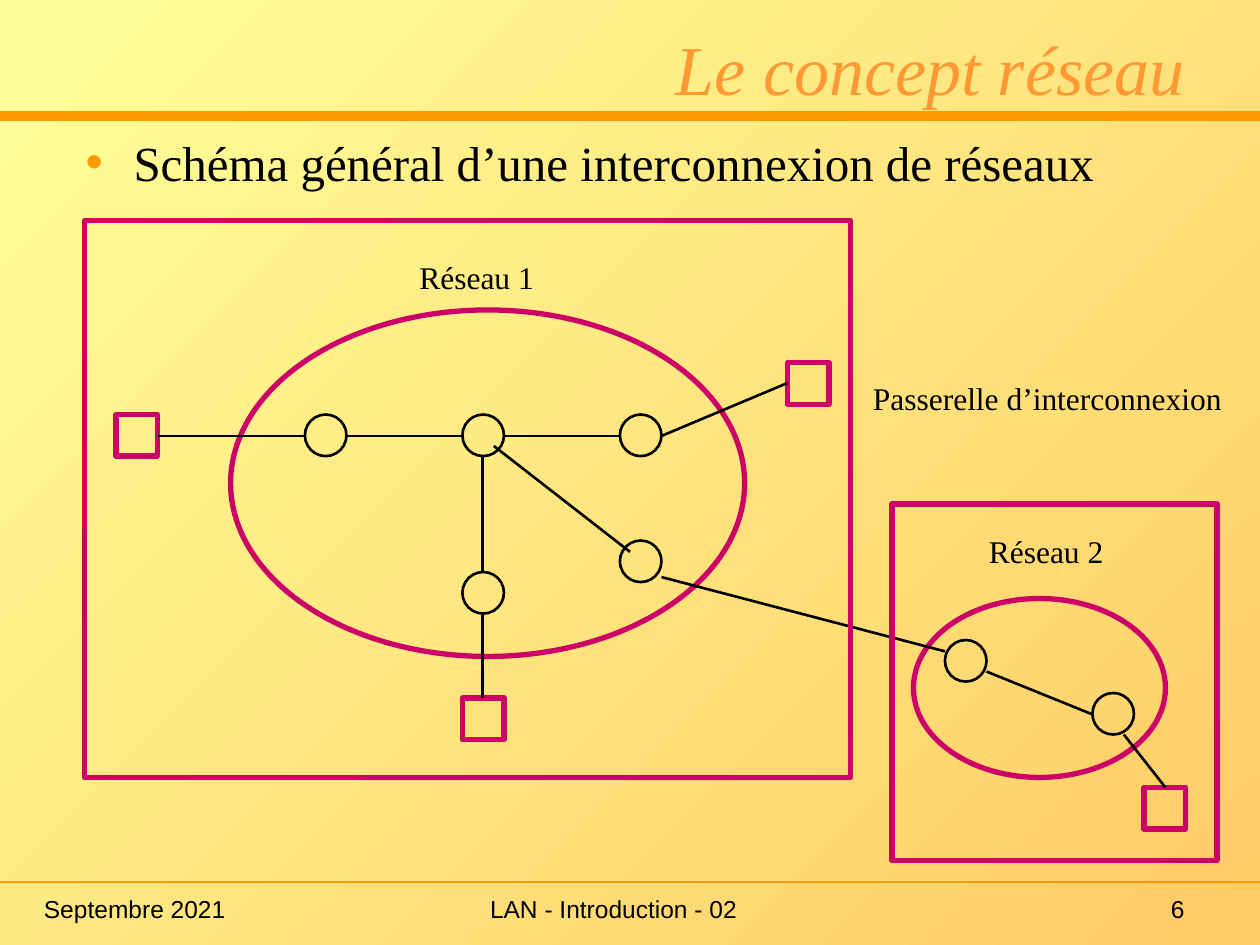
"""Build a slide showing the general scheme of two interconnected networks."""
from lxml.etree import SubElement
from pptx import Presentation
from pptx.dml.color import RGBColor
from pptx.enum.shapes import MSO_CONNECTOR, MSO_SHAPE
from pptx.enum.text import MSO_ANCHOR, MSO_AUTO_SIZE, PP_ALIGN
from pptx.oxml.ns import qn
from pptx.util import Inches, Pt

BLACK = RGBColor(0x00, 0x00, 0x00)
MAGENTA = RGBColor(0xCC, 0x00, 0x66)
ORANGE = RGBColor(0xFF, 0x99, 0x00)
TITLE_ORANGE = RGBColor(0xFF, 0x99, 0x33)
BACKGROUND = [RGBColor(0xFF, 0xFF, 0x99), RGBColor(0xFF, 0xCC, 0x66)]
SERIF, SANS = "Times New Roman", "Arial"
NODE = 0.33

TITLE = "Le concept réseau"
BODY = "Schéma général d’une interconnexion de réseaux"
RULES = [(0.92, 6), (7, 1)]
CLOUDS = [(1.83, 2.46, 4.08, 2.75), (7.25, 4.75, 2, 1.42)]
FRAMES = [(0.67, 1.75, 6.08, 4.42), (7.08, 4, 2.58, 2.83)]
ROUTERS = [(2.42, 3.29), (3.67, 3.29), (4.92, 3.29), (3.67, 4.54),
           (4.92, 4.29), (7.5, 5.08), (8.67, 5.5)]
STATIONS = [(0.92, 3.29), (3.67, 5.54), (6.25, 2.88), (9.08, 6.25)]
LINKS = [
    (1.25, 3.46, 2.42, 3.46), (2.75, 3.46, 3.67, 3.46),
    (4, 3.46, 4.92, 3.46), (5.25, 3.46, 6.25, 3.04),
    (3.83, 3.62, 3.83, 4.54), (3.83, 4.88, 3.83, 5.54),
    (5, 4.38, 3.92, 3.54), (5.25, 4.58, 7.5, 5.17),
    (7.83, 5.33, 8.67, 5.67), (8.92, 5.83, 9.25, 6.25),
]
LABELS = [
    ("Réseau 1", (3.23, 2, 1.11, 0.4)),
    ("Réseau 2", (7.75, 4.17, 1.11, 0.4)),
    ("Passerelle d’interconnexion", (6.83, 2.96, 2.97, 0.4)),
]
FOOTERS = [
    ("Septembre 2021", (0.25, 7.05, 2.08, 0.33), PP_ALIGN.LEFT),
    ("LAN - Introduction - 02", (2.33, 7.05, 5.08, 0.33), PP_ALIGN.CENTER),
    ("6", (7.42, 7.05, 2.08, 0.33), PP_ALIGN.RIGHT),
]

prs = Presentation()
prs.slide_width, prs.slide_height = Inches(10), Inches(7.5)
s = prs.slides.add_slide(prs.slide_layouts[1])
fill = s.background.fill
fill.gradient()
fill.gradient_angle = 315
for stop, color in zip(fill.gradient_stops, BACKGROUND):
    stop.color.rgb = color


def write(sp, text, size, font=SERIF, color=BLACK, align=PP_ALIGN.LEFT,
          anchor=MSO_ANCHOR.TOP, wrap=True):
    tf = sp.text_frame
    tf.auto_size = MSO_AUTO_SIZE.NONE
    tf.word_wrap = wrap
    tf.vertical_anchor = anchor
    p = tf.paragraphs[0]
    p.alignment = align
    r = p.add_run()
    r.text = text
    r.font.size, r.font.name = Pt(size), font
    r.font.color.rgb = color
    return p


def place(sp, box):
    sp.left, sp.top, sp.width, sp.height = map(Inches, box)


def add_line(ends, color, width):
    line = s.shapes.add_connector(MSO_CONNECTOR.STRAIGHT, *map(Inches, ends))
    line.line.color.rgb, line.line.width = color, Pt(width)
    SubElement(line._element.spPr, qn("a:effectLst"))


def add_outline(kind, box, color, width):
    sp = s.shapes.add_shape(kind, *map(Inches, box))
    sp.shadow.inherit = False
    sp.fill.background()
    sp.line.color.rgb, sp.line.width = color, Pt(width)


for y, width in RULES:
    add_line((0, y, 10, y), ORANGE, width)

title, body = s.shapes.title, s.placeholders[1]
place(title, (1.67, 0.17, 7.83, 0.75))
p = write(title, TITLE, 40, color=TITLE_ORANGE, align=PP_ALIGN.RIGHT,
          anchor=MSO_ANCHOR.BOTTOM)
p.runs[0].font.italic = True

place(body, (0.58, 1, 8.75, 1.42))
pPr = write(body, BODY, 28)._p.get_or_add_pPr()
pPr.set("marL", str(Inches(0.38)))
pPr.set("indent", str(Inches(-0.38)))
SubElement(SubElement(pPr, qn("a:buClr")), qn("a:srgbClr"), val=str(ORANGE))
SubElement(pPr, qn("a:buChar"), char="•")

for box in CLOUDS:
    add_outline(MSO_SHAPE.OVAL, box, MAGENTA, 3)
for x, y in ROUTERS:
    add_outline(MSO_SHAPE.OVAL, (x, y, NODE, NODE), BLACK, 1.5)
for x, y in STATIONS:
    add_outline(MSO_SHAPE.RECTANGLE, (x, y, NODE, NODE), MAGENTA, 3)
for ends in LINKS:
    add_line(ends, BLACK, 1.5)
for box in FRAMES:
    add_outline(MSO_SHAPE.RECTANGLE, box, MAGENTA, 3)

for text, box in LABELS:
    write(s.shapes.add_textbox(*map(Inches, box)), text, 18, wrap=False)
for text, box, align in FOOTERS:
    write(s.shapes.add_textbox(*map(Inches, box)), text, 14, SANS,
          align=align, anchor=MSO_ANCHOR.MIDDLE)

prs.save("out.pptx")
